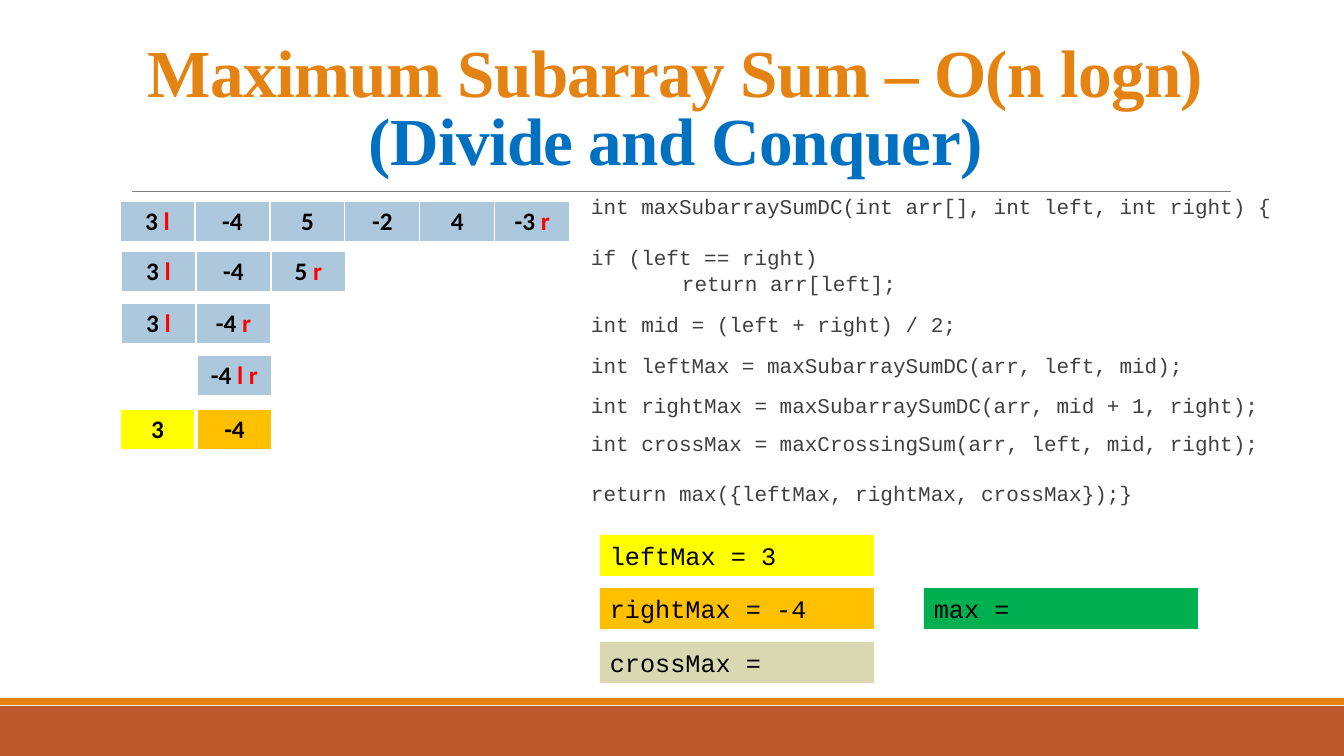
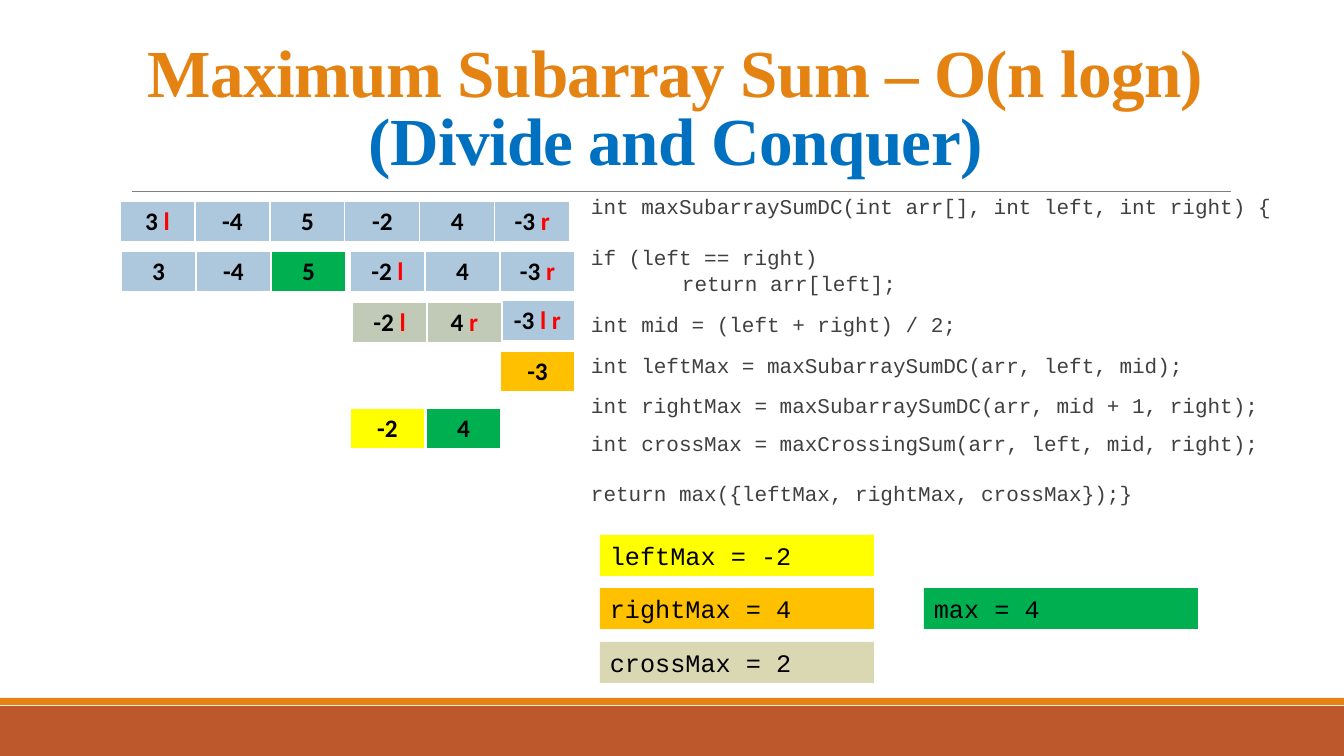
from dataclasses import dataclass

from lxml import etree
from pptx import Presentation
from pptx import util as u
from pptx.dml.color import RGBColor
from pptx.enum import shapes, text
from pptx.oxml.ns import qn

EMU_PER_PX = 914400 / 100.8
WIDTH, HEIGHT = 1344, 756
CELL_W, CELL_H = 75, 41
CODE_INDENT, CODE_TAB = 10, 101

COLORS = {
    "orange": "E48312", "rust": "BD582C", "blue": "0070C0", "rule": "808080",
    "code": "404040", "black": "000000", "red": "FF0000",
    "plain": "ADC8DD", "cross": "C1CAB6", "left": "FFFF00",
    "right": "FFC000", "sand": "DAD7B3", "max": "00B050",
}


@dataclass(frozen=True)
class Cell:
    value: str
    bounds: str = ""
    fill: str = "plain"


@dataclass(frozen=True)
class Strip:
    x: int
    y: int
    cells: tuple[Cell, ...]


@dataclass(frozen=True)
class CodeLine:
    code: str
    height: float = 16.5
    after: int = 2
    indent: int = CODE_INDENT


@dataclass(frozen=True)
class Step:
    strips: tuple[Strip, ...]
    left_max: str
    right_max: str
    cross_max: str
    best: str


CODE = (
    CodeLine("int maxSubarraySumDC(int arr[], int left, int right) {", after=20),
    CodeLine("if (left == right)"),
    CodeLine("return arr[left];", indent=CODE_TAB),
    CodeLine("int mid = (left + right) / 2;", 27),
    CodeLine("int leftMax = maxSubarraySumDC(arr, left, mid);", 27),
    CodeLine("int rightMax = maxSubarraySumDC(arr, mid + 1, right);", 27, 0),
    CodeLine("int crossMax = maxCrossingSum(arr, left, mid, right);", 27, 19),
    CodeLine("return max({leftMax, rightMax, crossMax});}"),
)

WHOLE_ARRAY = Strip(120, 201, (Cell("3", "l"), Cell("-4"), Cell("5"),
                               Cell("-2"), Cell("4"), Cell("-3", "r")))

STEPS = (
    Step(
        (
            WHOLE_ARRAY,
            Strip(121, 251, (Cell("3", "l"), Cell("-4"), Cell("5", "r"))),
            Strip(121, 303, (Cell("3", "l"), Cell("-4", "r"))),
            Strip(197, 355, (Cell("-4", "l r"),)),
            Strip(120, 409, (Cell("3", fill="left"),)),
            Strip(197, 409, (Cell("-4", fill="right"),)),
        ),
        "leftMax = 3", "rightMax = -4", "crossMax =", "max =",
    ),
    Step(
        (
            WHOLE_ARRAY,
            Strip(350, 251, (Cell("-2", "l"), Cell("4"), Cell("-3", "r"))),
            Strip(500, 300, (Cell("-3", "l r"),)),
            Strip(500, 351, (Cell("-3", fill="right"),)),
            Strip(352, 302, (Cell("-2", "l", "cross"), Cell("4", "r", "cross"))),
            Strip(350, 408, (Cell("-2", fill="left"),)),
            Strip(426, 408, (Cell("4", fill="max"),)),
            Strip(121, 251, (Cell("3"), Cell("-4"), Cell("5", fill="max"))),
        ),
        "leftMax = -2", "rightMax = 4", "crossMax = 2", "max = 4",
    ),
)


def px(length: int) -> u.Emu:
    return u.Emu(round(length * EMU_PER_PX))


def rgb(name: str) -> RGBColor:
    return RGBColor.from_string(COLORS[name])


def write(paragraph, words: str, *, font: str, size: int, color: str = "black",
          bold: bool = False, spacing: int = 0) -> None:
    run = paragraph.add_run()
    run.text = words
    run.font.name = font
    run.font.size = u.Pt(size)
    run.font.bold = bold
    run.font.color.rgb = rgb(color)
    if spacing:
        run.font._element.set("spc", str(spacing))


def add_box(slide, x: int, y: int, w: int, h: int):
    box = slide.shapes.add_textbox(px(x), px(y), px(w), px(h))
    box.text_frame.word_wrap = True
    return box


def add_band(slide, y: int, h: int, color: str) -> None:
    band = slide.shapes.add_shape(shapes.MSO_SHAPE.RECTANGLE, 0, px(y), px(WIDTH), px(h))
    band.shadow.inherit = False
    band.fill.solid()
    band.fill.fore_color.rgb = rgb(color)
    band.line.fill.background()


def add_frame(slide) -> None:
    # Footer bands and the rule under the title
    add_band(slide, 706, 50, "rust")
    add_band(slide, 698, 7, "orange")
    rule = slide.shapes.add_connector(
        shapes.MSO_CONNECTOR.STRAIGHT, px(132), px(191), px(1231), px(191))
    rule.line.color.rgb = rgb("rule")
    rule.line.width = u.Pt(0.5)
    etree.SubElement(rule._element.spPr, qn("a:effectLst"))

    # Title
    frame = add_box(slide, 121, 31, 1109, 160).text_frame
    frame.vertical_anchor = text.MSO_ANCHOR.MIDDLE
    title = frame.paragraphs[0]
    title.alignment = text.PP_ALIGN.CENTER
    title.line_spacing = 0.85
    style = dict(font="Times New Roman", size=48, bold=True, spacing=-50)
    write(title, "Maximum Subarray Sum – O(n logn)", color="orange", **style)
    title.add_line_break()
    write(title, "(Divide and Conquer)", color="blue", **style)


def add_code(slide) -> None:
    frame = add_box(slide, 581, 191, 739, 502).text_frame
    frame.margin_left = frame.margin_right = 0
    for i, line in enumerate(CODE):
        paragraph = frame.add_paragraph() if i else frame.paragraphs[0]
        paragraph._p.get_or_add_pPr().set("marL", str(px(line.indent)))
        paragraph.line_spacing = u.Pt(line.height)
        paragraph.space_after = u.Pt(line.after)
        write(paragraph, line.code, font="Courier New", size=15, color="code")


def add_strip(slide, strip: Strip) -> None:
    count = len(strip.cells)
    table = slide.shapes.add_table(
        1, count, px(strip.x), px(strip.y), px(CELL_W * count), px(CELL_H)).table
    table.horz_banding = False
    for slot, item in zip(table.rows[0].cells, strip.cells):
        slot.fill.solid()
        slot.fill.fore_color.rgb = rgb(item.fill)
        slot.vertical_anchor = text.MSO_ANCHOR.MIDDLE
        paragraph = slot.text_frame.paragraphs[0]
        paragraph.alignment = text.PP_ALIGN.CENTER
        style = dict(font="Calibri", size=18, bold=True)
        write(paragraph, item.value + (" " if item.bounds else ""), **style)
        if item.bounds:
            write(paragraph, item.bounds, color="red", **style)


def add_result(slide, x: int, row: int, words: str, fill: str) -> None:
    box = add_box(slide, x, 535 + row * 107 // 2, 274, 41)
    box.fill.solid()
    box.fill.fore_color.rgb = rgb(fill)
    write(box.text_frame.paragraphs[0], words, font="Courier New", size=18)


def add_step(deck, step: Step) -> None:
    slide = deck.slides.add_slide(deck.slide_layouts[6])
    add_frame(slide)
    add_code(slide)
    for strip in step.strips:
        add_strip(slide, strip)
    # Values found in this call
    add_result(slide, 600, 0, step.left_max, "left")
    add_result(slide, 600, 1, step.right_max, "right")
    add_result(slide, 600, 2, step.cross_max, "sand")
    add_result(slide, 924, 1, step.best, "max")


def main() -> None:
    deck = Presentation()
    deck.slide_width, deck.slide_height = px(WIDTH), px(HEIGHT)
    for step in STEPS:
        add_step(deck, step)
    deck.save("out.pptx")


if __name__ == "__main__":
    main()
